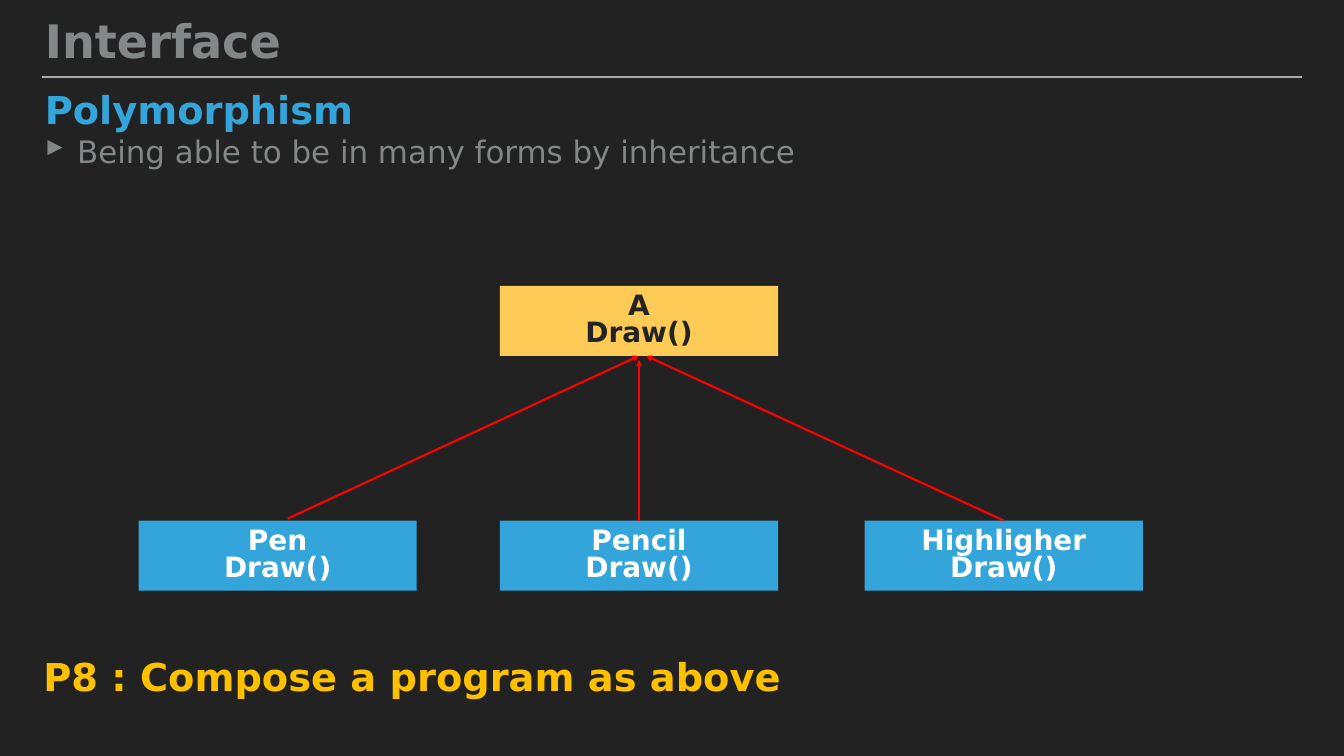
from lxml import etree
from pptx import Presentation
from pptx.dml.color import RGBColor
from pptx.enum import shapes, text
from pptx.oxml.ns import qn
from pptx.util import Inches, Pt

FONT = "DejaVu Sans"
COLORS = {
    "background": "222222", "rule": "A6AAA9", "gray": "838787",
    "blue": "34A5DA", "amber": "FFC000", "yellow": "FDCB56",
    "dark": "232323", "white": "FFFFFF", "red": "FF0000",
}
BOX_W, BOX_H = 5.52, 1.39
PARENT_X, PARENT_Y, CHILD_Y = 9.92, 5.67, 10.33
CHILDREN = [("Pen", 2.75), ("Pencil", PARENT_X), ("Highligher", 17.16)]
ARROWS = [
    ((5.71, 10.29), (12.68, 7.06)),
    ((19.92, 10.33), (12.82, 7.06)),
    ((12.68, 10.33), (12.68, 7.14)),
]


def color(name):
    """Return the named palette colour."""
    return RGBColor.from_string(COLORS[name])


def write(sp, lines, size, ink, bold=True, spacing=0.8,
          align=text.PP_ALIGN.LEFT, anchor=text.MSO_ANCHOR.TOP):
    """Fill a shape with equally formatted paragraphs."""
    tf = sp.text_frame
    tf.word_wrap = True
    tf.auto_size = text.MSO_AUTO_SIZE.NONE
    tf.vertical_anchor = anchor
    tf.margin_left = tf.margin_right = Inches(0.06)
    tf.margin_top = tf.margin_bottom = Inches(0.06)
    for i, line in enumerate(lines):
        p = tf.add_paragraph() if i else tf.paragraphs[0]
        p.alignment = align
        p.line_spacing = spacing
        r = p.add_run()
        r.text = line
        r.font.name = FONT
        r.font.size = Pt(size)
        r.font.bold = bold
        r.font.color.rgb = color(ink)


def add_title(s, title):
    """Place and format the title placeholder."""
    sp = s.shapes.title
    sp.left, sp.top = Inches(0.83), Inches(0.19)
    sp.width, sp.height = Inches(22.92), Inches(1.2)
    write(sp, [title], 66, "gray", anchor=text.MSO_ANCHOR.BOTTOM)


def add_text(s, line, x, y, w, h, size, ink, **style):
    """Add a one-paragraph text box."""
    sp = s.shapes.add_textbox(Inches(x), Inches(y), Inches(w), Inches(h))
    write(sp, [line], size, ink, **style)
    return sp


def add_bullet(sp, char, indent):
    """Give the paragraph of a text box a hanging bullet."""
    pPr = sp.text_frame.paragraphs[0]._p.get_or_add_pPr()
    pPr.set("marL", str(Inches(indent)))
    pPr.set("indent", str(-Inches(indent)))
    clr = etree.SubElement(pPr, qn("a:buClr"))
    etree.SubElement(clr, qn("a:srgbClr"), val=COLORS["gray"])
    etree.SubElement(pPr, qn("a:buChar"), char=char)


def add_class_box(s, name, x, y, fill, ink):
    """Add a class rectangle with its Draw method."""
    sp = s.shapes.add_shape(shapes.MSO_SHAPE.RECTANGLE, Inches(x), Inches(y),
                            Inches(BOX_W), Inches(BOX_H))
    sp.shadow.inherit = False
    sp.fill.solid()
    sp.fill.fore_color.rgb = color(fill)
    sp.line.fill.background()
    write(sp, [name, "Draw()"], 40, ink, align=text.PP_ALIGN.CENTER,
          anchor=text.MSO_ANCHOR.MIDDLE)


def add_line(s, start, end, ink, width, arrow=False):
    """Add a straight line, with an arrowhead at its end if asked."""
    points = [Inches(v) for v in (*start, *end)]
    sp = s.shapes.add_connector(shapes.MSO_CONNECTOR.STRAIGHT, *points)
    sp.line.color.rgb = color(ink)
    sp.line.width = Pt(width)
    if arrow:
        etree.SubElement(sp.line._get_or_add_ln(), qn("a:tailEnd"), type="triangle")
    etree.SubElement(sp._element.spPr, qn("a:effectLst"))


def main():
    """Build and save the polymorphism slide."""
    prs = Presentation()
    prs.slide_width, prs.slide_height = Inches(26.67), Inches(15)
    s = prs.slides.add_slide(prs.slide_layouts[5])
    s.background.fill.solid()
    s.background.fill.fore_color.rgb = color("background")

    add_line(s, (0.83, 1.53), (25.83, 1.53), "rule", 2)
    add_title(s, "Interface")
    add_text(s, "Polymorphism", 0.83, 1.83, 25, 1.11, 54.8, "blue")
    sp = add_text(s, "Being able to be in many forms by inheritance",
                  0.83, 2.57, 25, 2.43, 44.2, "gray", bold=False, spacing=1.0)
    add_bullet(sp, "▸", 0.64)
    add_text(s, "P8 : Compose a program as above",
             0.8, 13.08, 25.58, 1.24, 54.8, "amber")

    add_class_box(s, "A", PARENT_X, PARENT_Y, "yellow", "dark")
    for name, x in CHILDREN:
        add_class_box(s, name, x, CHILD_Y, "blue", "white")
    for start, end in ARROWS:
        add_line(s, start, end, "red", 3, arrow=True)
    prs.save("out.pptx")


if __name__ == "__main__":
    main()
